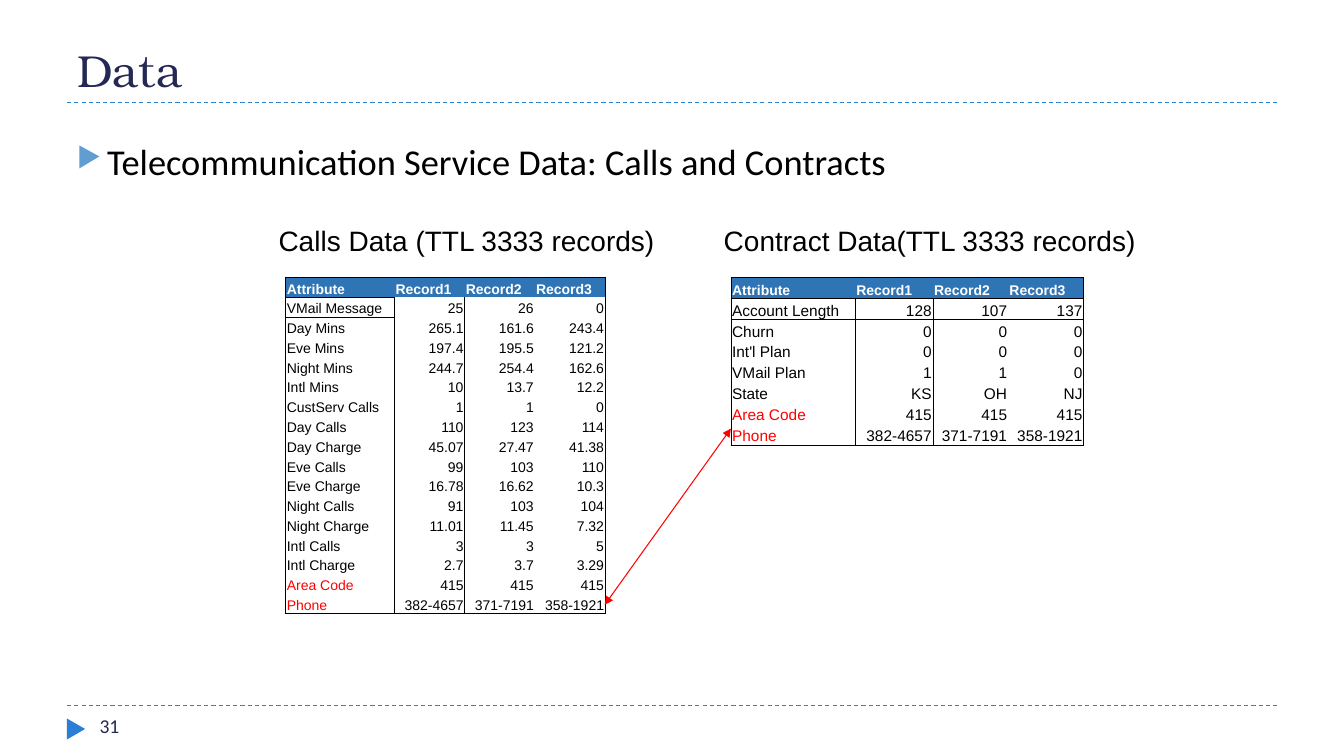
import pptx
import pptx.util
import pptx.dml.color
import pptx.enum.dml
import pptx.enum.shapes
import pptx.enum.text
import pptx.oxml.ns
import lxml.etree

Cm = pptx.util.Cm
Pt = pptx.util.Pt
qn = pptx.oxml.ns.qn
ALIGN = pptx.enum.text.PP_ALIGN
ANCHOR = pptx.enum.text.MSO_ANCHOR
STRAIGHT = pptx.enum.shapes.MSO_CONNECTOR.STRAIGHT
COLOURS = {"navy": "242852", "rule": "297FD5", "bullet": "629DD1", "header": "2F75B5",
           "black": "000000", "white": "FFFFFF", "red": "FF0000"}
NO_GRID_STYLE = "{2D5ABB26-0587-4C30-8999-92F81FD0307C}"


def write(para, text, colour, **formats):
    para.text = text
    for name, value in formats.items():
        setattr(para.font, name, value)
    para.font.color.rgb = pptx.dml.color.RGBColor.from_string(COLOURS[colour])


def draw_line(start, end, colour):
    line = page.shapes.add_connector(STRAIGHT, *[Cm(length) for length in start + end])
    line.line.color.rgb = pptx.dml.color.RGBColor.from_string(COLOURS[colour])
    line.line.width = Pt(0.75)
    lxml.etree.SubElement(line._element.spPr, qn("a:effectLst"))
    return line


deck = pptx.Presentation()
deck.slide_width, deck.slide_height = Cm(33.87), Cm(19.05)
page = deck.slides.add_slide(deck.slide_layouts[5])

for height in (17.78, 2.59):
    rule = draw_line((1.69, height), (32.18, height), "rule")
    rule.line.dash_style = pptx.enum.dml.MSO_LINE.DASH

marker = page.shapes.add_shape(pptx.enum.shapes.MSO_SHAPE.ISOSCELES_TRIANGLE,
                               Cm(1.65), Cm(18.14), Cm(0.53), Cm(0.46))
marker.rotation = 90
marker.shadow.inherit = False
marker.fill.solid()
marker.fill.fore_color.rgb = pptx.dml.color.RGBColor.from_string(COLOURS["rule"])
marker.line.fill.background()

title = page.shapes.title
title.left, title.top, title.width, title.height = Cm(1.69), Cm(0.43), Cm(30.48), Cm(2.13)
title.text_frame.vertical_anchor = ANCHOR.BOTTOM
heading = title.text_frame.paragraphs[0]
heading.alignment = ALIGN.LEFT
write(heading, "Data", "navy", name="TeX Gyre Bonum", size=Pt(32))

labels = [
    ("31", (2.26, 17.86, 7.34, 0.81), "Calibri", 14, "navy"),
    ("Telecommunication Service Data: Calls and Contracts", (1.69, 3.38, 26.67, 1.9),
     "Calibri", 26, "black"),
    ("Calls Data (TTL 3333 records)", (6.77, 5.51, 10.36, 1.12), "Arial", 20, "black"),
    ("Contract Data(TTL 3333 records)", (17.99, 5.51, 11.43, 1.14), "Arial", 20, "black"),
]
for text, place, font, size, colour in labels:
    box = page.shapes.add_textbox(*[Cm(length) for length in place])
    box.text_frame.word_wrap = True
    para = box.text_frame.paragraphs[0]
    if text.startswith("Telecommunication"):
        properties = para._p.get_or_add_pPr()
        properties.set("marL", str(Cm(0.76)))
        properties.set("indent", str(-Cm(0.76)))
        bullet_colour = lxml.etree.SubElement(properties, qn("a:buClr"))
        lxml.etree.SubElement(bullet_colour, qn("a:srgbClr"), val=COLOURS["bullet"])
        lxml.etree.SubElement(properties, qn("a:buSzPct"), val="76000")
        lxml.etree.SubElement(properties, qn("a:buChar"), char="▶")
    write(para, text, colour, name=font, size=Pt(size))

header = ("Attribute", "Record1", "Record2", "Record3")
shared_rows = [
    ("Area Code", "415", "415", "415"),
    ("Phone", "382-4657", "371-7191", "358-1921"),
]
calls = [
    header,
    ("VMail Message", "25", "26", "0"),
    ("Day Mins", "265.1", "161.6", "243.4"),
    ("Eve Mins", "197.4", "195.5", "121.2"),
    ("Night Mins", "244.7", "254.4", "162.6"),
    ("Intl Mins", "10", "13.7", "12.2"),
    ("CustServ Calls", "1", "1", "0"),
    ("Day Calls", "110", "123", "114"),
    ("Day Charge", "45.07", "27.47", "41.38"),
    ("Eve Calls", "99", "103", "110"),
    ("Eve Charge", "16.78", "16.62", "10.3"),
    ("Night Calls", "91", "103", "104"),
    ("Night Charge", "11.01", "11.45", "7.32"),
    ("Intl Calls", "3", "3", "5"),
    ("Intl Charge", "2.7", "3.7", "3.29"),
    *shared_rows,
]
contract = [
    header,
    ("Account Length", "128", "107", "137"),
    ("Churn", "0", "0", "0"),
    ("Int'l Plan", "0", "0", "0"),
    ("VMail Plan", "1", "1", "0"),
    ("State", "KS", "OH", "NJ"),
    *shared_rows,
]
tables = [
    (calls, 7.2, 8.47, (2.74, 1.77, 1.77, 1.77), 10, 1),
    (contract, 18.42, 4.23, (3.13, 1.96, 1.9, 1.9), 11, 4),
]
for records, left, height, widths, body_size, ruled_headers in tables:
    frame = page.shapes.add_table(len(records), len(header), Cm(left), Cm(6.99),
                                  Cm(sum(widths)), Cm(height))
    table = frame.table
    table.first_row = table.horz_banding = False
    table._tbl.tblPr.find(qn("a:tableStyleId")).text = NO_GRID_STYLE
    for column, width in zip(table.columns, widths):
        column.width = Cm(width)
    for row, record in enumerate(records):
        table.rows[row].height = Cm(height / len(records))
        for col, text in enumerate(record):
            cell = table.cell(row, col)
            cell.vertical_anchor = ANCHOR.BOTTOM
            cell.margin_left = cell.margin_right = cell.margin_top = Cm(0.03)
            cell.margin_bottom = 0
            is_header = row == 0
            borders = {
                "a:lnL": col == 0 or (col == 1 and not is_header),
                "a:lnR": col == 3 or (col == 0 and not is_header),
                "a:lnT": is_header or (row == 1 and col < ruled_headers),
                "a:lnB": row == len(records) - 1 or (is_header and col < ruled_headers),
            }
            for side, shown in borders.items():
                if shown:
                    border = lxml.etree.SubElement(cell._tc.get_or_add_tcPr(), qn(side),
                                                   w=str(Pt(0.5)))
                    ink = lxml.etree.SubElement(border, qn("a:solidFill"))
                    lxml.etree.SubElement(ink, qn("a:srgbClr"), val=COLOURS["black"])
            if is_header:
                cell.fill.solid()
                cell.fill.fore_color.rgb = pptx.dml.color.RGBColor.from_string(COLOURS["header"])
            else:
                cell.fill.background()
            is_key = col == 0 and record in shared_rows
            colour = "white" if is_header else "red" if is_key else "black"
            para = cell.text_frame.paragraphs[0]
            para.alignment = ALIGN.LEFT if is_header or col == 0 else ALIGN.RIGHT
            write(para, text, colour, name="Arial", bold=is_header,
                  size=Pt(10 if is_header else body_size))

key_link = draw_line((15.24, 15.24), (18.42, 10.8), "red")
for end in ("a:headEnd", "a:tailEnd"):
    lxml.etree.SubElement(key_link.line._get_or_add_ln(), qn(end), type="triangle")

deck.save("out.pptx")
